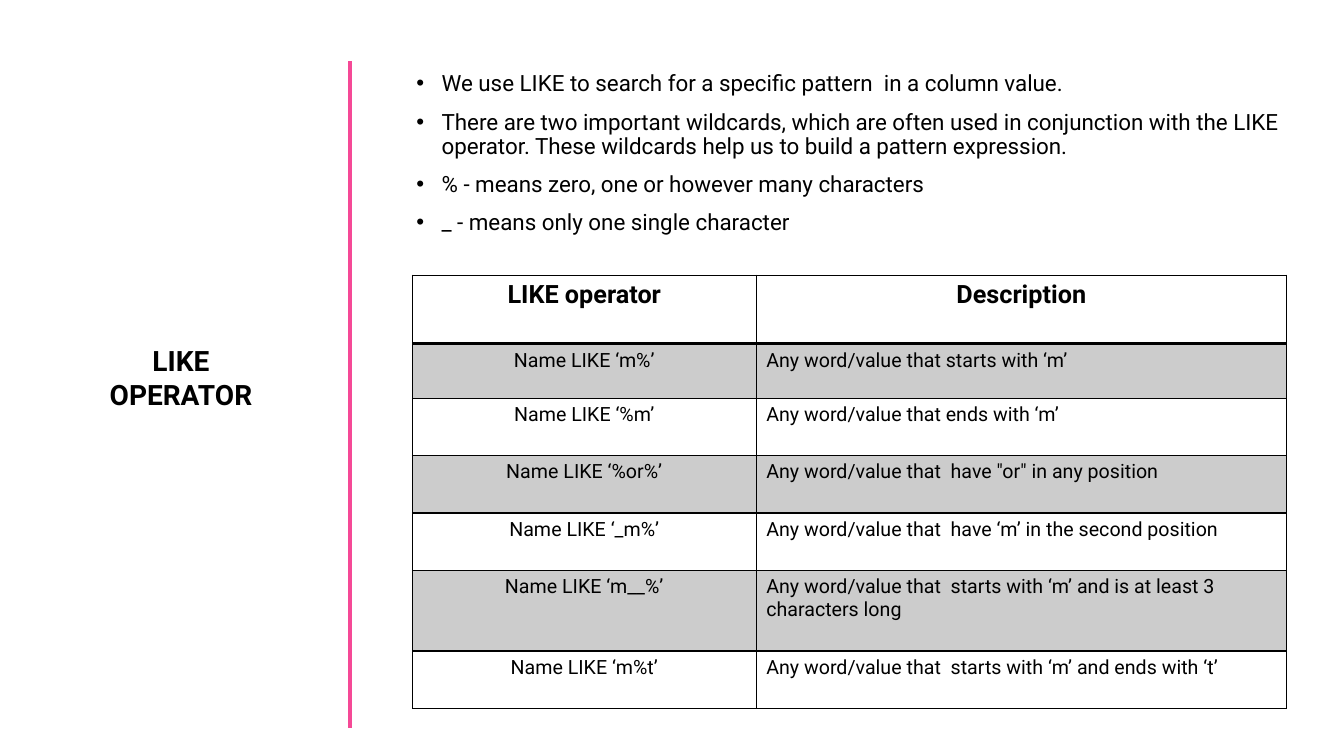
from dataclasses import dataclass

from lxml.etree import SubElement
from pptx import Presentation
from pptx.dml.color import RGBColor
from pptx.enum.shapes import MSO_CONNECTOR
from pptx.enum.text import MSO_ANCHOR, MSO_AUTO_SIZE, PP_ALIGN
from pptx.oxml.ns import qn
from pptx.util import Inches, Pt


@dataclass(frozen=True)
class Theme:
    """Colours and type sizes of the slide."""
    font: str = "Roboto"
    ink: str = "000000"
    accent: str = "F54996"
    band: str = "CCCCCC"
    title: int = 20
    body: int = 16
    header: int = 18
    cell: int = 14


@dataclass(frozen=True)
class Box:
    """A region in inches."""
    left: float
    top: float
    width: float
    height: float

    def lengths(self):
        """Return the region as slide lengths."""
        return [Inches(n) for n in (self.left, self.top, self.width, self.height)]


THEME = Theme()
BULLETS = [
    "We use LIKE to search for a specific pattern  in a column value.",
    "There are two important wildcards, which are often used in conjunction with "
    "the LIKE operator. These wildcards help us to build a pattern expression.",
    "% - means zero, one or however many characters",
    "_ - means only one single character",
]
COLUMN_SHARES = [3.41, 5.26]
TABLE_ROWS = [
    (0.68, "LIKE operator", "Description"),
    (0.54, "Name LIKE ‘m%’", "Any word/value that starts with ‘m’"),
    (0.57, "Name LIKE ‘%m’", "Any word/value that ends with ‘m’"),
    (0.57, "Name LIKE ‘%or%’", 'Any word/value that  have "or" in any position'),
    (0.57, "Name LIKE ‘_m%’", "Any word/value that  have ‘m’ in the second position"),
    (0.8, "Name LIKE ‘m__%’",
     "Any word/value that  starts with ‘m’ and is at least 3 characters long"),
    (0.57, "Name LIKE ‘m%t’", "Any word/value that  starts with ‘m’ and ends with ‘t’"),
]


def format_para(para, size, bold=False, align=PP_ALIGN.LEFT):
    """Apply the theme's type to a paragraph and its runs."""
    para.alignment = align
    for span in para.runs:
        span.font.name = THEME.font
        span.font.size = Pt(size)
        span.font.bold = bold
        span.font.color.rgb = RGBColor.from_string(THEME.ink)


def place_text(shape, box, text, anchor):
    """Put text into a placeholder moved to the box."""
    shape.left, shape.top, shape.width, shape.height = box.lengths()
    frame = shape.text_frame
    frame.text = text
    frame.word_wrap = True
    frame.auto_size = MSO_AUTO_SIZE.NONE
    frame.vertical_anchor = anchor
    return frame.paragraphs


def add_title(page, box):
    """Set the centred two-line title."""
    for para in place_text(page.shapes.title, box, "LIKE\nOPERATOR", MSO_ANCHOR.MIDDLE):
        format_para(para, THEME.title, True, PP_ALIGN.CENTER)


def add_bullets(page, box):
    """Set the bulleted explanation."""
    paras = place_text(page.placeholders[1], box, "\n".join(BULLETS), MSO_ANCHOR.TOP)
    for para in paras:
        format_para(para, THEME.body)
        para.line_spacing = 0.9
        para.space_before = Pt(10)
        properties = para._p.get_or_add_pPr()
        properties.set("marL", str(Inches(0.25)))
        properties.set("indent", str(-Inches(0.25)))
        SubElement(properties, qn("a:buFont"), typeface="Arial")
        SubElement(properties, qn("a:buChar"), char="•")


def add_divider(page, box):
    """Draw the vertical accent line down the box's left edge."""
    left, top, _, height = box.lengths()
    line = page.shapes.add_connector(MSO_CONNECTOR.STRAIGHT, left, top, left, top + height)
    line.line.color.rgb = RGBColor.from_string(THEME.accent)
    line.line.width = Pt(3)
    SubElement(line._element.spPr, qn("a:effectLst"))


def add_borders(cell, top, bottom):
    """Draw the four cell borders, with top and bottom widths in points."""
    properties = cell._tc.get_or_add_tcPr()
    for side, width in zip("LRTB", (1, 1, top, bottom)):
        border = SubElement(properties, qn(f"a:ln{side}"), w=str(Pt(width)))
        fill = SubElement(border, qn("a:solidFill"))
        SubElement(fill, qn("a:srgbClr"), val=THEME.ink)


def add_pattern_table(page, box):
    """Build the table of LIKE patterns."""
    table = page.shapes.add_table(len(TABLE_ROWS), len(COLUMN_SHARES), *box.lengths()).table
    table.first_row = table.horz_banding = False
    for column, share in zip(table.columns, COLUMN_SHARES):
        column.width = Inches(box.width * share / sum(COLUMN_SHARES))
    for row_index, (height, *texts) in enumerate(TABLE_ROWS):
        table.rows[row_index].height = Inches(height)
        is_header = row_index == 0
        for column_index, text in enumerate(texts):
            cell = table.cell(row_index, column_index)
            cell.text_frame.text = text
            centred = is_header or column_index == 0
            format_para(cell.text_frame.paragraphs[0],
                        THEME.header if is_header else THEME.cell, is_header,
                        PP_ALIGN.CENTER if centred else PP_ALIGN.LEFT)
            add_borders(cell, 2 if row_index == 1 else 1, 2 if is_header else 1)
            if row_index % 2:
                cell.fill.solid()
                cell.fill.fore_color.rgb = RGBColor.from_string(THEME.band)
            else:
                cell.fill.background()


def main():
    """Build and save the slide."""
    deck = Presentation()
    deck.slide_width, deck.slide_height = Inches(13.33), Inches(7.5)
    page = deck.slides.add_slide(deck.slide_layouts[1])
    add_divider(page, Box(3.47, 0.61, 0, 6.61))
    add_bullets(page, Box(4.03, 0.67, 8.8, 2.07))
    add_title(page, Box(0.42, 3.36, 2.75, 0.77))
    add_pattern_table(page, Box(4.09, 2.73, 8.67, 4.3))
    deck.save("out.pptx")


if __name__ == "__main__":
    main()
